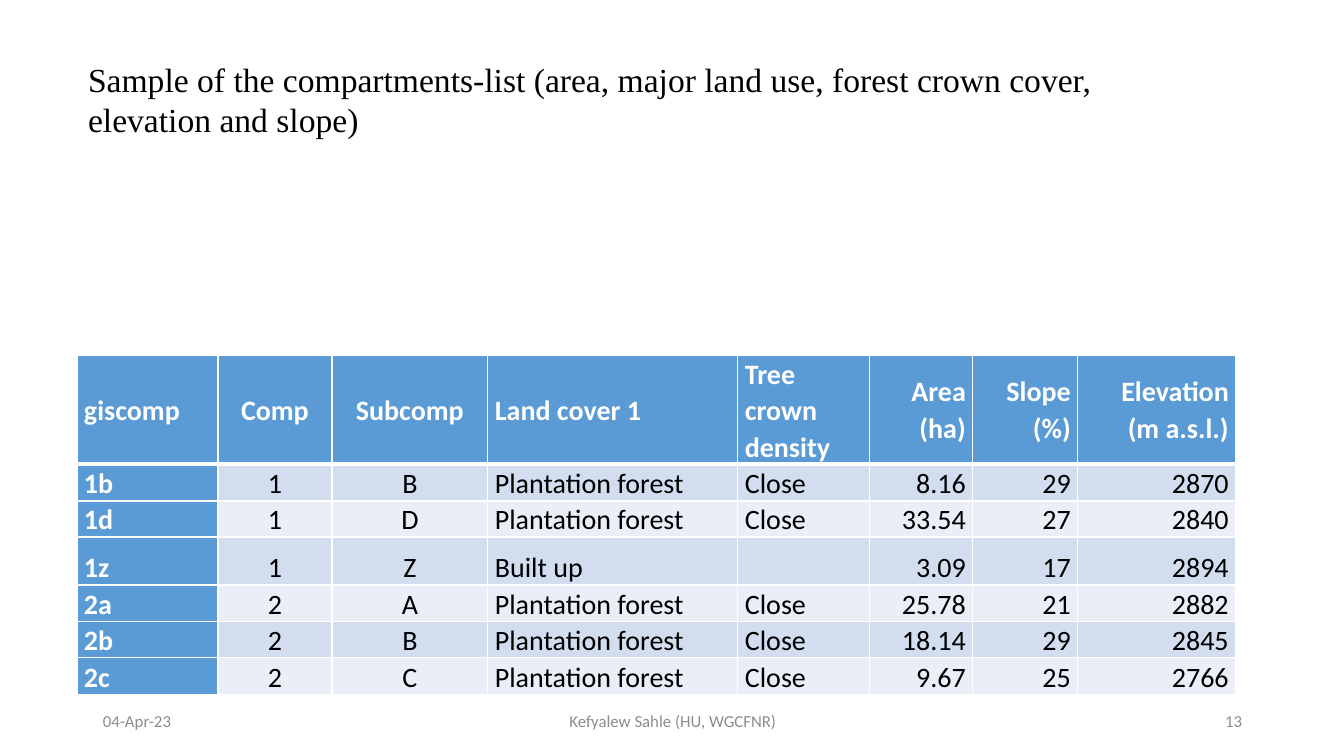
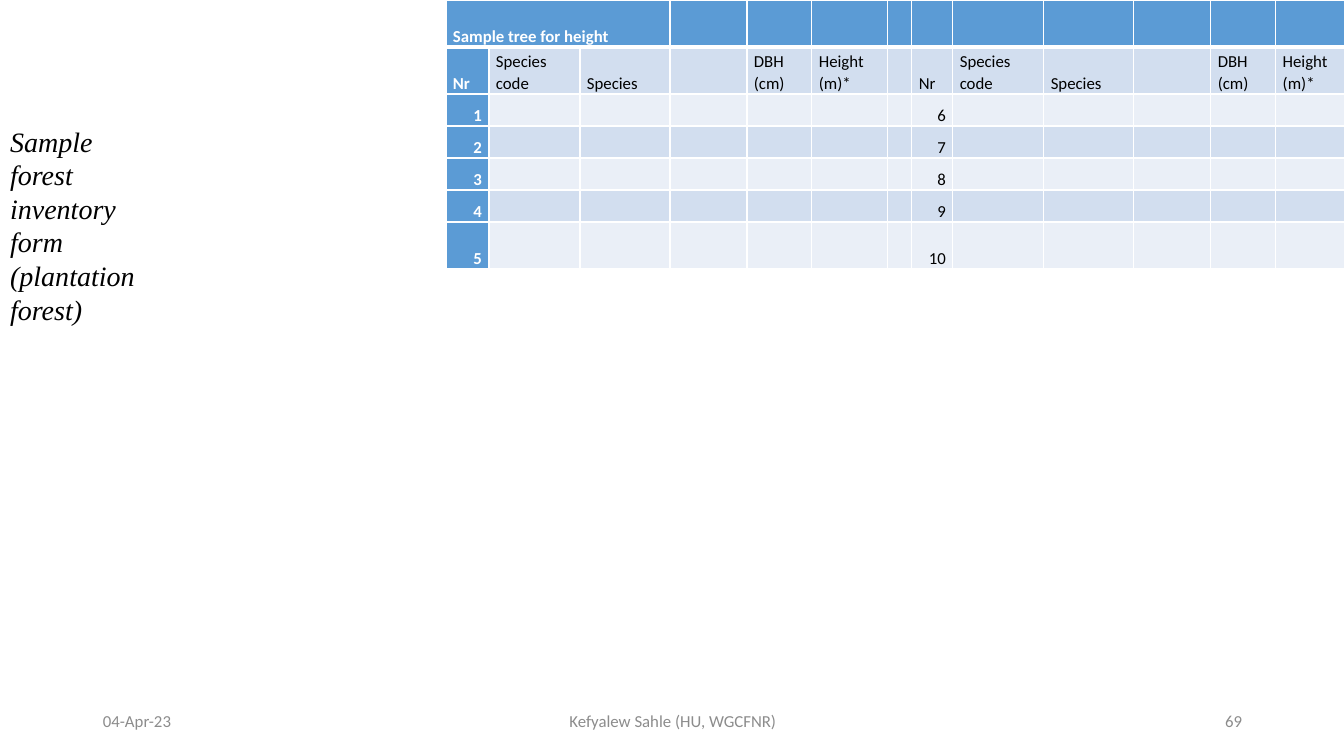
import pptx
import pptx.util
import pptx.dml.color
import pptx.enum.text
import pptx.oxml.ns
import lxml.etree

ALIGN = pptx.enum.text.PP_ALIGN
ANCHOR = pptx.enum.text.MSO_ANCHOR
EMU_PER_PX = 914400 / 100.8
SLIDE_SIZE = (1344, 756)

COLORS = {
    "header": "5B9BD5",
    "band_dark": "D2DEEF",
    "band_light": "EAEFF7",
    "white": "FFFFFF",
    "black": "000000",
    "footer": "8C8C8C",
}
ALIGNMENTS = {"j": ALIGN.JUSTIFY, "c": ALIGN.CENTER, "r": ALIGN.RIGHT, "l": ALIGN.LEFT}

# Content
DATE = "04-Apr-23"
AUTHOR = "Kefyalew Sahle (HU, WGCFNR)"
FOREST = "Plantation forest"
FORM_HEADINGS = ["Nr", "Species code", "Species", "", "DBH (cm)", "Height (m)*"]
FORM_BLANKS = [""] * 5

SLIDES = [
    {
        "number": "13",
        "title": "Sample of the compartments-list (area, major land use, "
                 "forest crown cover, elevation and slope)",
        "title_box": (78, 54, 1129, 92),
        "title_size": 24,
        "title_italic": False,
        "title_align": "l",
        "table": {
            "origin": (77, 355),
            "columns": [141, 114, 156, 250, 132, 103, 105, 158],
            "rows": [109, 37, 36, 48, 37, 36, 37],
            "alignments": "jccjjrrr",
            "justified_rows": 0,
            "header_anchor": ANCHOR.MIDDLE,
            "header_span": 1,
            "size": 20,
            "cells": [
                ["giscomp", "Comp", "Subcomp", "Land cover 1", "Tree crown density",
                 "Area (ha)", "Slope (%)", "Elevation (m a.s.l.)"],
                ["1b", "1", "B", FOREST, "Close", "8.16", "29", "2870"],
                ["1d", "1", "D", FOREST, "Close", "33.54", "27", "2840"],
                ["1z", "1", "Z", "Built up", "", "3.09", "17", "2894"],
                ["2a", "2", "A", FOREST, "Close", "25.78", "21", "2882"],
                ["2b", "2", "B", FOREST, "Close", "18.14", "29", "2845"],
                ["2c", "2", "C", FOREST, "Close", "9.67", "25", "2766"],
            ],
        },
    },
    {
        "number": "69",
        "title": "Sample forest inventory form (plantation forest)",
        "title_box": (0, 119, 149, 214),
        "title_size": 20,
        "title_italic": True,
        "title_align": "j",
        "table": {
            "origin": (446, 0),
            "columns": [43, 91, 90, 77, 65, 76, 24, 41, 91, 90, 77, 65, 76],
            "rows": [47, 47, 32, 32, 32, 32, 47],
            "alignments": "r" * 13,
            "justified_rows": 2,
            "header_anchor": ANCHOR.BOTTOM,
            "header_span": 3,
            "size": 12,
            "cells": [
                ["Sample tree for height"] + [""] * 12,
                FORM_HEADINGS + [""] + FORM_HEADINGS,
            ] + [
                [str(tree)] + FORM_BLANKS + [""] + [str(tree + 5)] + FORM_BLANKS
                for tree in range(1, 6)
            ],
        },
    },
]


def px(length):
    return pptx.util.Emu(round(length * EMU_PER_PX))


def color(name):
    return pptx.dml.color.RGBColor.from_string(COLORS[name])


def add_run(paragraph, text, size, color_name, font="Calibri", bold=False, italic=False):
    run = paragraph.add_run()
    run.text = text
    run.font.name = font
    run.font.size = pptx.util.Pt(size)
    run.font.bold = bold
    run.font.italic = italic
    run.font.color.rgb = color(color_name)


def set_title(slide, content):
    title = slide.shapes.title
    title.left, title.top, title.width, title.height = map(px, content["title_box"])
    frame = title.text_frame
    frame.word_wrap = True
    frame.auto_size = pptx.enum.text.MSO_AUTO_SIZE.NONE
    frame.vertical_anchor = ANCHOR.TOP
    paragraph = frame.paragraphs[0]
    paragraph.alignment = ALIGNMENTS[content["title_align"]]
    add_run(paragraph, content["title"], content["title_size"], "black",
            "Times New Roman", italic=content["title_italic"])


def add_footer(slide, number):
    parts = [(93, 302, DATE, "l"), (446, 454, AUTHOR, "c"), (950, 302, number, "r")]
    for left, width, text, align in parts:
        frame = slide.shapes.add_textbox(px(left), px(701), px(width), px(40)).text_frame
        frame.word_wrap = True
        frame.vertical_anchor = ANCHOR.MIDDLE
        frame.paragraphs[0].alignment = ALIGNMENTS[align]
        add_run(frame.paragraphs[0], text, 12, "footer")


def set_borders(cell, row_index):
    """White grid lines, heavier under the header row."""
    qn = pptx.oxml.ns.qn
    widths = {"L": 1, "R": 1, "T": 3 if row_index == 1 else 1, "B": 3 if row_index == 0 else 1}
    properties = cell._tc.get_or_add_tcPr()
    for side, width in widths.items():
        line = lxml.etree.SubElement(properties, qn("a:ln" + side), w=str(pptx.util.Pt(width)))
        fill = lxml.etree.SubElement(line, qn("a:solidFill"))
        lxml.etree.SubElement(fill, qn("a:srgbClr"), val=COLORS["white"])


def format_cell(cell, text, row_index, column_index, content):
    header = row_index == 0
    accent = header or column_index == 0
    band = "band_dark" if row_index % 2 else "band_light"
    set_borders(cell, row_index)
    cell.fill.solid()
    cell.fill.fore_color.rgb = color("header" if accent else band)
    cell.margin_left = cell.margin_right = px(7)
    cell.margin_top = cell.margin_bottom = 0
    cell.vertical_anchor = content["header_anchor"] if header else ANCHOR.BOTTOM
    if text:
        justified = row_index < content["justified_rows"]
        paragraph = cell.text_frame.paragraphs[0]
        paragraph.alignment = ALIGNMENTS["j" if justified else content["alignments"][column_index]]
        paragraph.line_spacing = 1.07
        add_run(paragraph, text, content["size"], "white" if accent else "black", bold=accent)


def add_table(slide, content):
    columns, rows = content["columns"], content["rows"]
    left, top = content["origin"]
    table = slide.shapes.add_table(len(rows), len(columns), px(left), px(top),
                                   px(sum(columns)), px(sum(rows))).table
    for column, width in zip(table.columns, columns):
        column.width = px(width)
    for row, height in zip(table.rows, rows):
        row.height = px(height)
    for row_index, texts in enumerate(content["cells"]):
        for column_index, text in enumerate(texts):
            format_cell(table.cell(row_index, column_index), text,
                        row_index, column_index, content)
    if content["header_span"] > 1:
        table.cell(0, 0).merge(table.cell(0, content["header_span"] - 1))


def main():
    presentation = pptx.Presentation()
    presentation.slide_width, presentation.slide_height = map(px, SLIDE_SIZE)
    title_only = presentation.slide_layouts[5]
    for content in SLIDES:
        slide = presentation.slides.add_slide(title_only)
        add_footer(slide, content["number"])
        add_table(slide, content["table"])
        set_title(slide, content)
    presentation.save("out.pptx")


if __name__ == "__main__":
    main()
